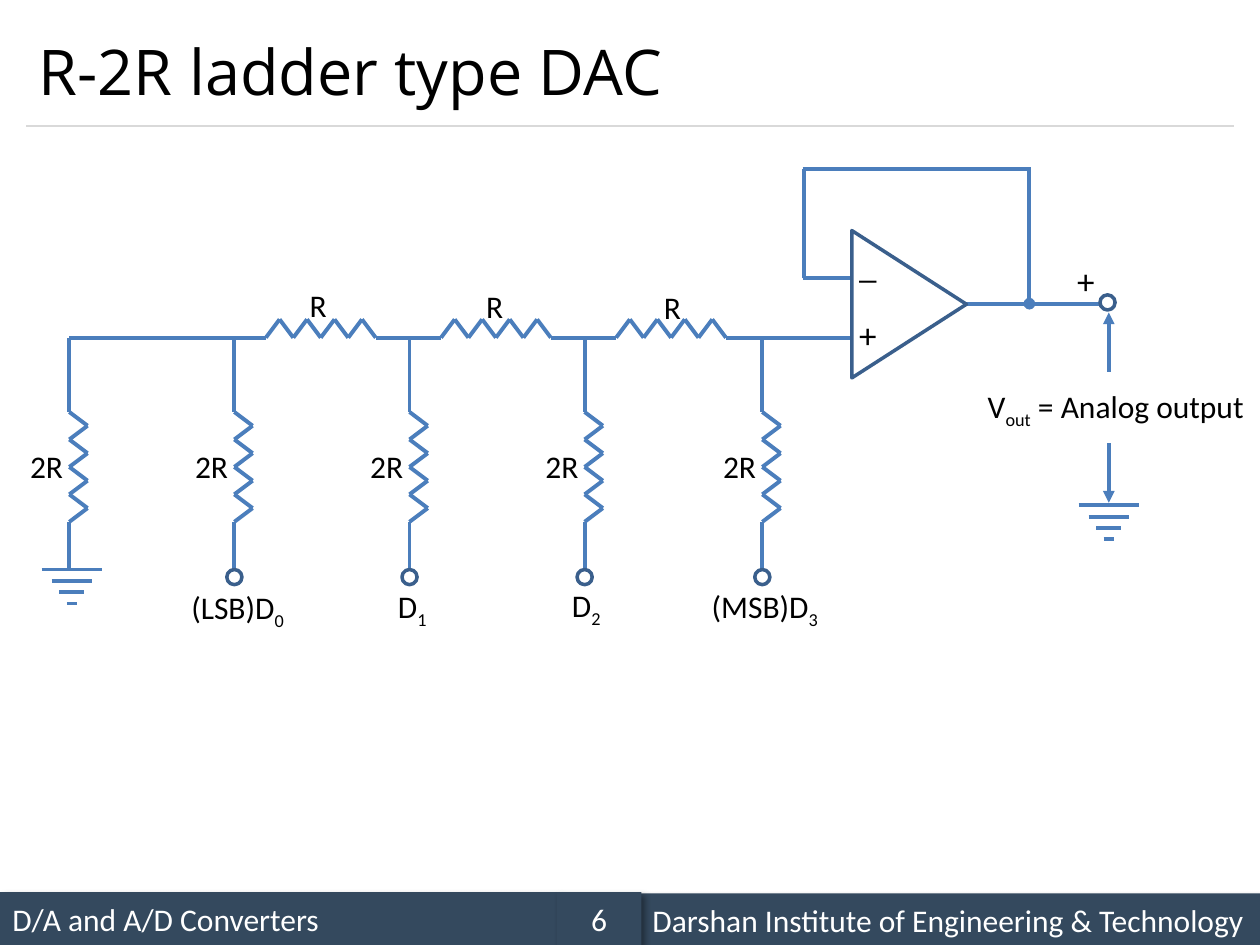
import pptx
import pptx.util
import pptx.dml.color
import pptx.enum.shapes
import pptx.enum.text
import pptx.oxml
import pptx.oxml.ns
from lxml import etree

Inches, Pt = pptx.util.Inches, pptx.util.Pt
RGBColor = pptx.dml.color.RGBColor
MSO_SHAPE = pptx.enum.shapes.MSO_SHAPE
PP_ALIGN = pptx.enum.text.PP_ALIGN
MIDDLE = pptx.enum.text.MSO_ANCHOR.MIDDLE
qn = pptx.oxml.ns.qn
COLORS = {"wire": "4B7EBC", "outline": "3A5F8C", "rule": "D9D9D9",
          "bar": "34495E", "black": "000000", "white": "FFFFFF"}

presentation = pptx.Presentation()
presentation.slide_width, presentation.slide_height = Inches(10), Inches(7.5)
slide = presentation.slides.add_slide(presentation.slide_layouts[6])


def add_line(x1, y1, x2, y2, end=None, color="wire", width=2.25):
    """Draw a line without shadow; end is the arrowhead type at (x2, y2)."""
    line = slide.shapes.add_connector(
        pptx.enum.shapes.MSO_CONNECTOR.STRAIGHT,
        Inches(x1), Inches(y1), Inches(x2), Inches(y2))
    line.line.color.rgb = RGBColor.from_string(COLORS[color])
    line.line.width = Pt(width)
    if end:
        etree.SubElement(line.line._get_or_add_ln(), qn("a:tailEnd"), type=end)
    etree.SubElement(line._element.spPr, qn("a:effectLst"))


def write(shape, *parts, size=18, font="Calibri", color="black", align=PP_ALIGN.LEFT):
    """Fill the shape with one paragraph; every second part is a subscript."""
    shape.text_frame.word_wrap = True
    paragraph = shape.text_frame.paragraphs[0]
    paragraph.alignment = align
    paragraph.font.size = Pt(size)
    paragraph.font.name = font
    paragraph.font.color.rgb = RGBColor.from_string(COLORS[color])
    for index, part in enumerate(parts):
        run = paragraph.add_run()
        run.text = part
        if index % 2:
            run._r.get_or_add_rPr().set("baseline", "-25000")


# Footer, header rule and title
for left, top, width, text, align in [
    (0, 7.08, 4.42, "D/A and A/D Converters", PP_ALIGN.LEFT),
    (5.08, 7.09, 4.92, "Darshan Institute of Engineering & Technology", PP_ALIGN.LEFT),
    (4.42, 7.08, 0.67, "6", PP_ALIGN.CENTER),
]:
    bar = slide.shapes.add_shape(
        MSO_SHAPE.RECTANGLE, Inches(left), Inches(top), Inches(width), Inches(0.42))
    bar.fill.solid()
    bar.fill.fore_color.rgb = RGBColor.from_string(COLORS["bar"])
    bar.line.fill.background()
    bar._element.spPr.append(pptx.oxml.parse_xml(
        '<a:effectLst xmlns:a="http://schemas.openxmlformats.org/drawingml/2006/main">'
        '<a:outerShdw blurRad="50800" dist="38100" dir="2700000" algn="tl" rotWithShape="0">'
        '<a:srgbClr val="000000"><a:alpha val="40000"/></a:srgbClr>'
        '</a:outerShdw></a:effectLst>'))
    bar.text_frame.vertical_anchor = MIDDLE
    write(bar, text, color="white", align=align)

add_line(0.21, 1, 9.79, 1, color="rule", width=0.75)
title = slide.shapes.add_textbox(Inches(0.21), Inches(0.12), Inches(9.58), Inches(0.88))
title.text_frame.vertical_anchor = MIDDLE
write(title, "R-2R ladder type DAC", size=36, font="Open Sans")

# Ladder: series resistors R on the rail, shunt resistors 2R below each node
RAIL_Y = 2.68
NODES = [0.55, 1.86, 3.25, 4.64, 6.05]
OUTPUT_X, OUTPUT_Y = 8.79, 2.41
TOOTH_LENGTH, TOOTH_HEIGHT, TEETH = 0.109, 0.145, 8

add_line(NODES[0], RAIL_Y, NODES[1], RAIL_Y)
for node, right in zip(NODES[1:4], [3.25, 4.64, 6.75]):
    start = node + 0.25
    add_line(node, RAIL_Y, start, RAIL_Y)
    for i in range(TEETH):
        add_line(start + i * TOOTH_LENGTH, RAIL_Y - i % 2 * TOOTH_HEIGHT,
                 start + (i + 1) * TOOTH_LENGTH, RAIL_Y - (i + 1) % 2 * TOOTH_HEIGHT)
    add_line(start + TEETH * TOOTH_LENGTH, RAIL_Y, right, RAIL_Y)

for node in NODES:
    start = 3.27
    add_line(node, RAIL_Y, node, start)
    for i in range(TEETH):
        add_line(node + i % 2 * TOOTH_HEIGHT, start + i * TOOTH_LENGTH,
                 node + (i + 1) % 2 * TOOTH_HEIGHT, start + (i + 1) * TOOTH_LENGTH)
    add_line(node, start + TEETH * TOOTH_LENGTH, node, 4.52)

# Ground symbols
for x, y in [(0.57, 4.52), (8.8, 4.01)]:
    for i, half_width in enumerate([0.24, 0.16, 0.1, 0.04]):
        add_line(x - half_width, y + i * 0.09, x + half_width, y + i * 0.09)

# Op-amp with feedback loop and output
for x1, y1, x2, y2, end in [
    (7.67, OUTPUT_Y, 8.73, OUTPUT_Y, None),
    (8.17, 1.34, 8.17, OUTPUT_Y, "oval"),
    (6.37, 1.34, 8.18, 1.34, None),
    (6.38, 2.21, 6.38, 1.34, None),
    (6.37, 2.21, 6.77, 2.21, None),
    (8.8, 3.52, 8.8, 3.99, "triangle"),
    (8.8, 2.95, 8.8, 2.48, "triangle"),
]:
    add_line(x1, y1, x2, y2, end)

terminals = [(MSO_SHAPE.OVAL, node - 0.06, 4.52, 0.12, 0.12, 0) for node in NODES[1:]]
for kind, left, top, width, height, rotation in terminals + [
    (MSO_SHAPE.OVAL, OUTPUT_X - 0.06, OUTPUT_Y - 0.07, 0.12, 0.12, 0),
    (MSO_SHAPE.ISOSCELES_TRIANGLE, 6.63, 1.96, 1.17, 0.91, 90),
]:
    shape = slide.shapes.add_shape(
        kind, Inches(left), Inches(top), Inches(width), Inches(height))
    shape.rotation = rotation
    shape.shadow.inherit = False
    shape.fill.background()
    shape.line.color.rgb = RGBColor.from_string(COLORS["outline"])
    shape.line.width = Pt(2)

# Labels: left, top, width, size, text parts
labels = [(node - 0.41, 3.5, 0.63, 18, ["2R"]) for node in NODES]
labels += [(left, top, 0.33, 18, ["R"])
           for left, top in [(2.36, 2.22), (3.76, 2.23), (5.17, 2.24)]]
labels += [
    (1.42, 4.62, 0.96, 18, ["(LSB)D", "0"]),
    (3.06, 4.61, 0.45, 18, ["D", "1"]),
    (4.44, 4.6, 0.45, 18, ["D", "2"]),
    (5.55, 4.61, 1.11, 18, ["(MSB)D", "3"]),
    (7.74, 3.02, 2.32, 18, ["V", "out", " = Analog output"]),
    (6.72, 1.88, 0.5, 20, ["_"]),
    (6.72, 2.44, 0.5, 20, ["+"]),
    (8.45, 2.01, 0.5, 20, ["+"]),
]
for left, top, width, size, parts in labels:
    label = slide.shapes.add_textbox(
        Inches(left), Inches(top), Inches(width), Inches(0.44 if size == 20 else 0.4))
    write(label, *parts, size=size)

presentation.save("out.pptx")
